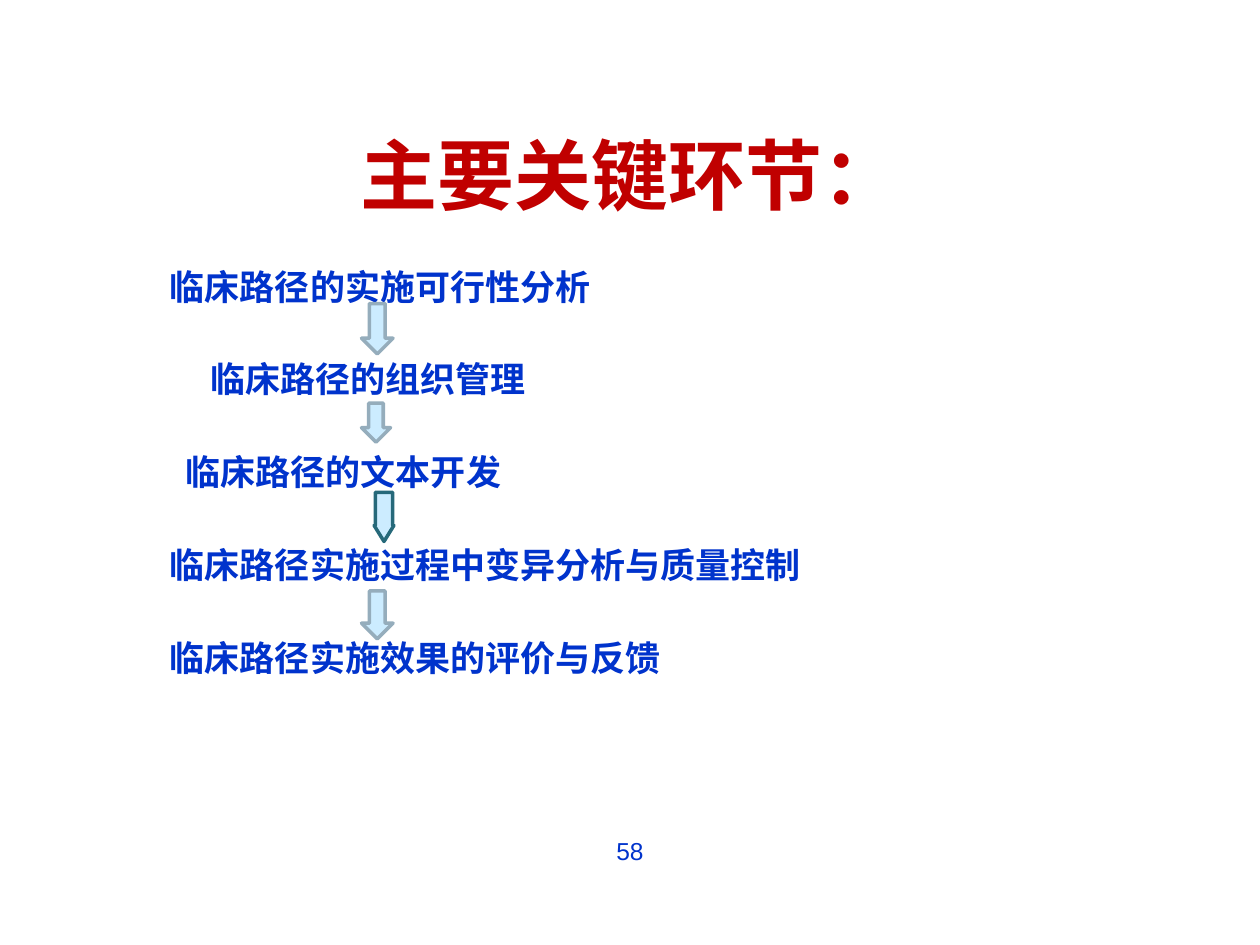
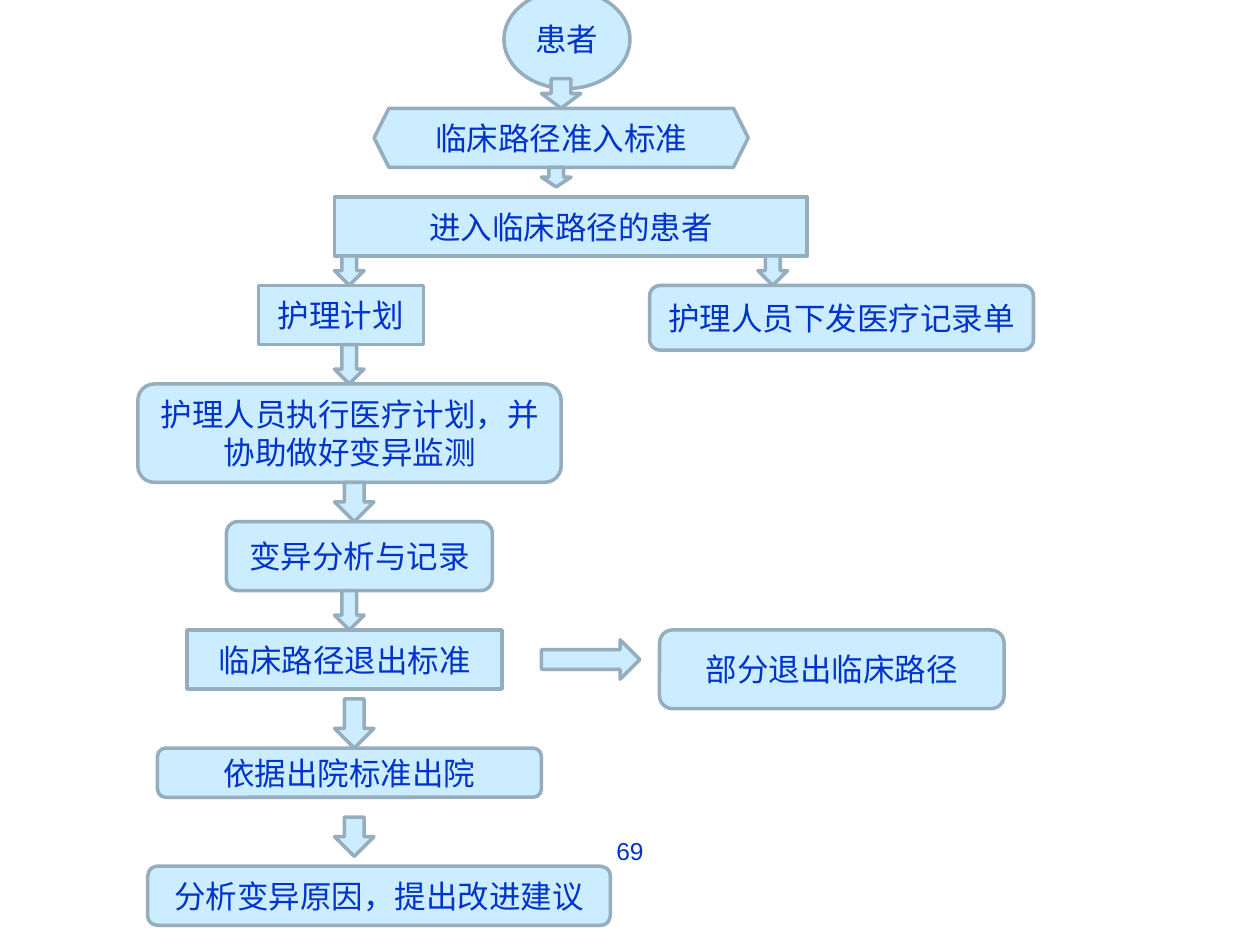
"""Build two slides on the key steps and the flow of a clinical pathway."""
from dataclasses import dataclass

import pptx
import pptx.dml.color
import pptx.enum.shapes
import pptx.enum.text
import pptx.util

Pt = pptx.util.Pt
RGBColor = pptx.dml.color.RGBColor
MSO = pptx.enum.shapes.MSO_SHAPE
ALIGN = pptx.enum.text.PP_ALIGN
ANCHOR = pptx.enum.text.MSO_ANCHOR

RED = RGBColor(0xC0, 0x00, 0x00)
BLUE = RGBColor(0x00, 0x33, 0xCC)
PALE = RGBColor(0xCC, 0xEC, 0xFF)
GREY = RGBColor(0x95, 0xAD, 0xBC)
TEAL = RGBColor(0x26, 0x69, 0x7A)
FONT = "Arial"


@dataclass(frozen=True)
class Step:
    text: str
    indent: float = 0


@dataclass(frozen=True)
class Node:
    kind: MSO
    left: float
    top: float
    width: float
    height: float
    text: str


@dataclass(frozen=True)
class Arrow:
    left: float
    top: float
    width: float
    height: float
    kind: MSO = MSO.DOWN_ARROW
    line: RGBColor = GREY
    shaft: float = 0.5
    head: float = 0.5


STEPS = [
    Step("临床路径的实施可行性分析"),
    Step("临床路径的组织管理", 23),
    Step("临床路径的文本开发", 9),
    Step("临床路径实施过程中变异分析与质量控制"),
    Step("临床路径实施效果的评价与反馈"),
]

STEP_ARROWS = [
    Arrow(206.6, 173.5, 18, 28.8),
    Arrow(206.6, 230.4, 16.6, 22.3),
    Arrow(213.8, 281.3, 11.3, 28.1, line=TEAL, shaft=0.867, head=0.808),
    Arrow(206.6, 337.7, 18, 27.4),
]

FLOW_NODES = [
    Node(MSO.OVAL, 288, -5.6, 72, 56.2, "患者"),
    Node(MSO.HEXAGON, 213.8, 61.9, 213.8, 33.8, "临床路径准入标准"),
    Node(MSO.RECTANGLE, 191.2, 112.5, 270, 33.8, "进入临床路径的患者"),
    Node(MSO.FLOWCHART_PROCESS, 147.6, 163.1, 94.3, 33.8, "护理计划"),
    Node(MSO.FLOWCHART_ALTERNATE_PROCESS, 371.2, 163.1, 219.4, 37, "护理人员下发医疗记录单"),
    Node(MSO.FLOWCHART_ALTERNATE_PROCESS, 78.8, 219.4, 241.9, 56.2,
         "护理人员执行医疗计划，并协助做好变异监测"),
    Node(MSO.FLOWCHART_ALTERNATE_PROCESS, 129.4, 298.1, 151.9, 39.4, "变异分析与记录"),
    Node(MSO.RECTANGLE, 106.9, 360, 180, 33.8, "临床路径退出标准"),
    Node(MSO.ROUNDED_RECTANGLE, 376.9, 360, 196.9, 45, "部分退出临床路径"),
    Node(MSO.ROUNDED_RECTANGLE, 90, 427.5, 219.4, 28.1, "依据出院标准出院"),
    Node(MSO.ROUNDED_RECTANGLE, 84.4, 495, 264.4, 33.8, "分析变异原因，提出改进建议"),
]

FLOW_ARROWS = [
    Arrow(309.4, 45, 22.5, 16.9),
    Arrow(309.4, 95.6, 16.9, 11.2),
    Arrow(191.2, 146.2, 16.9, 16.9),
    Arrow(433.1, 146.2, 16.9, 16.9),
    Arrow(191.2, 196.9, 16.9, 22.5),
    Arrow(191.2, 275.6, 22.5, 22.5),
    Arrow(191.2, 337.5, 16.9, 22.5),
    Arrow(191.2, 399.4, 22.5, 28.1),
    Arrow(191.2, 466.9, 22.5, 22.5),
    Arrow(309.4, 365.6, 56.2, 22.5, kind=MSO.RIGHT_ARROW),
]


def add_run(p, text: str, size: float, color: RGBColor = BLUE, bold: bool = False) -> None:
    """Add one formatted run to a paragraph."""
    r = p.add_run()
    r.text = text
    r.font.name = FONT
    r.font.size = Pt(size)
    r.font.bold = bold
    r.font.color.rgb = color


def add_preset(slide, item: Node | Arrow, line: RGBColor = GREY):
    """Add a pale outlined preset shape at the item's place."""
    sp = slide.shapes.add_shape(item.kind, Pt(item.left), Pt(item.top),
                                Pt(item.width), Pt(item.height))
    sp.shadow.inherit = False
    sp.fill.solid()
    sp.fill.fore_color.rgb = PALE
    sp.line.color.rgb = line
    sp.line.width = Pt(2)
    return sp


def add_node(slide, node: Node) -> None:
    """Add a labelled box of the flow."""
    tf = add_preset(slide, node).text_frame
    tf.word_wrap = True
    tf.vertical_anchor = ANCHOR.MIDDLE
    p = tf.paragraphs[0]
    p.alignment = ALIGN.CENTER
    add_run(p, node.text, 18)


def add_arrow(slide, arrow: Arrow) -> None:
    """Add a block arrow."""
    sp = add_preset(slide, arrow, arrow.line)
    sp.adjustments[0] = arrow.shaft
    sp.adjustments[1] = arrow.head


def add_page_number(slide, number: int) -> None:
    """Add the centred page number at the foot of the slide."""
    tf = slide.shapes.add_textbox(Pt(246), Pt(474), Pt(228), Pt(37.5)).text_frame
    tf.word_wrap = True
    p = tf.paragraphs[0]
    p.alignment = ALIGN.CENTER
    add_run(p, str(number), 14)


def add_title(slide, text: str) -> None:
    """Place and format the title placeholder."""
    sp = slide.shapes.title
    sp.left, sp.top, sp.width, sp.height = Pt(24), Pt(54), Pt(672), Pt(90)
    sp.text_frame.vertical_anchor = ANCHOR.MIDDLE
    p = sp.text_frame.paragraphs[0]
    p.alignment = ALIGN.CENTER
    add_run(p, text, 44, RED, bold=True)


def add_steps(slide, steps: list[Step]) -> None:
    """Add the list of steps, each with its own indent."""
    tf = slide.shapes.add_textbox(Pt(90), Pt(124), Pt(458.6), Pt(384)).text_frame
    tf.word_wrap = True
    for i, step in enumerate(steps):
        p = tf.add_paragraph() if i else tf.paragraphs[0]
        p.line_spacing = 2.0
        if i:
            p.space_before = Pt(5)
        if step.indent:
            p._p.get_or_add_pPr().set("marL", str(Pt(step.indent)))
        add_run(p, step.text, 20, bold=True)


def build_key_steps(prs) -> None:
    """Build the slide of key steps."""
    slide = prs.slides.add_slide(prs.slide_layouts.get_by_name("Title Only"))
    add_title(slide, "主要关键环节：")
    add_steps(slide, STEPS)
    for arrow in STEP_ARROWS:
        add_arrow(slide, arrow)
    add_page_number(slide, 58)


def build_flow(prs) -> None:
    """Build the slide of the patient flow."""
    slide = prs.slides.add_slide(prs.slide_layouts.get_by_name("Blank"))
    for node in FLOW_NODES:
        add_node(slide, node)
    for arrow in FLOW_ARROWS:
        add_arrow(slide, arrow)
    add_page_number(slide, 69)


def main() -> None:
    """Build and save the presentation."""
    prs = pptx.Presentation()
    prs.slide_width, prs.slide_height = Pt(720), Pt(540)
    build_key_steps(prs)
    build_flow(prs)
    prs.save("out.pptx")


if __name__ == "__main__":
    main()
